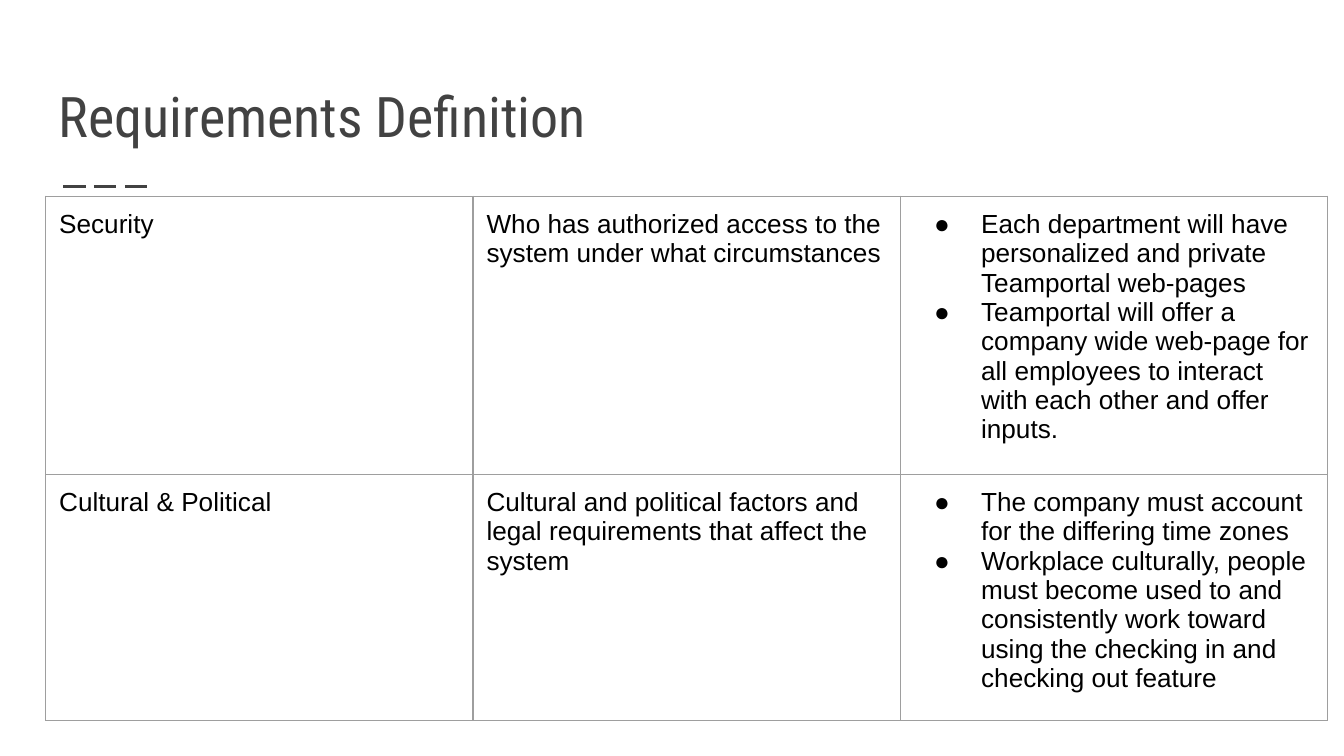
from lxml.etree import SubElement
from pptx import Presentation
from pptx.dml.color import RGBColor
from pptx.enum.dml import MSO_LINE
from pptx.enum.shapes import MSO_CONNECTOR
from pptx.enum.text import MSO_ANCHOR
from pptx.oxml.ns import qn
from pptx.util import Inches, Pt

COLORS = {"heading": "424242", "text": "000000", "border": "9E9E9E", "background": "FFFFFF"}
WIDTH = 10
HEIGHT = WIDTH * 9 / 16
LEFT = 0.034  # share of the slide width
COLUMN = 0.318  # share of the slide width
ROW = 0.15  # least row height, share of the slide height; rows grow with their text

# Each row: aspect, meaning, requirements
REQUIREMENTS = [
    (
        "Security",
        "Who has authorized access to the system under what circumstances",
        [
            "Each department will have personalized and private Teamportal web-pages",
            "Teamportal will offer a company wide web-page for all employees "
            "to interact with each other and offer inputs.",
        ],
    ),
    (
        "Cultural & Political",
        "Cultural and political factors and legal requirements that affect the system",
        [
            "The company must account for the differing time zones",
            "Workplace culturally, people must become used to and consistently "
            "work toward using the checking in and checking out feature",
        ],
    ),
]


class SlideBuilder:
    """Holds the style and the slide; positions are shares of the slide's size."""

    heading_font, body_font = "Roboto Condensed", "Arial"
    heading_size, body_size = 30, 14
    inset = Inches(0.1)

    def __init__(self, presentation):
        self.slide = presentation.slides.add_slide(presentation.slide_layouts[6])
        fill = self.slide.background.fill
        fill.solid()
        fill.fore_color.rgb = RGBColor.from_string(COLORS["background"])

    def x(self, share):
        return Inches(share * WIDTH)

    def y(self, share):
        return Inches(share * HEIGHT)

    def set_margins(self, holder):
        holder.margin_left = holder.margin_right = self.inset
        holder.margin_top = holder.margin_bottom = self.inset

    def add_run(self, paragraph, text, font, size, color):
        run = paragraph.add_run()
        run.text = text
        run.font.name = font
        run.font.size = Pt(size)
        run.font.color.rgb = RGBColor.from_string(COLORS[color])

    def title(self, text, left, top, width, height):
        shape = self.slide.shapes.add_textbox(
            self.x(left), self.y(top), self.x(width), self.y(height))
        frame = shape.text_frame
        frame.word_wrap = True
        frame.vertical_anchor = MSO_ANCHOR.BOTTOM
        self.set_margins(frame)
        self.add_run(frame.paragraphs[0], text, self.heading_font, self.heading_size, "heading")

    def dashed_line(self, left, right, top):
        line = self.slide.shapes.add_connector(
            MSO_CONNECTOR.STRAIGHT, self.x(left), self.y(top), self.x(right), self.y(top))
        line.line.color.rgb = RGBColor.from_string(COLORS["heading"])
        line.line.width = Pt(1.5)
        line.line.dash_style = MSO_LINE.LONG_DASH
        SubElement(line._element.spPr, qn("a:effectLst"))

    def bullet(self, paragraph):
        properties = paragraph._p.get_or_add_pPr()
        properties.set("marL", str(Inches(0.5)))
        properties.set("indent", str(-Inches(0.35)))
        bullet_color = SubElement(properties, qn("a:buClr"))
        SubElement(bullet_color, qn("a:srgbClr"), val=COLORS["text"])
        SubElement(properties, qn("a:buFont"), typeface=self.body_font)
        SubElement(properties, qn("a:buChar"), char="●")

    def cell_borders(self, cell):
        properties = cell._tc.get_or_add_tcPr()
        for side in ("L", "R", "T", "B"):
            border = SubElement(properties, qn(f"a:ln{side}"), w=str(Pt(0.75)))
            fill = SubElement(border, qn("a:solidFill"))
            SubElement(fill, qn("a:srgbClr"), val=COLORS["border"])

    def fill_cell(self, cell, content):
        self.set_margins(cell)
        self.cell_borders(cell)
        cell.fill.background()
        bulleted = isinstance(content, list)
        frame = cell.text_frame
        for index, text in enumerate(content if bulleted else [content]):
            paragraph = frame.add_paragraph() if index else frame.paragraphs[0]
            if bulleted:
                self.bullet(paragraph)
            self.add_run(paragraph, text, self.body_font, self.body_size, "text")

    def table(self, rows, left, top, column_width, row_height, frame_size):
        shape = self.slide.shapes.add_table(
            len(rows), len(rows[0]), self.x(left), self.y(top),
            self.x(column_width * len(rows[0])), self.y(row_height * len(rows)))
        table = shape.table
        table.first_row = table.horz_banding = False
        for column in table.columns:
            column.width = self.x(column_width)
        for row, contents in zip(table.rows, rows):
            row.height = self.y(row_height)
            for cell, content in zip(row.cells, contents):
                self.fill_cell(cell, content)
        shape.width = shape.height = self.x(frame_size)


def main():
    presentation = Presentation()
    presentation.slide_width = Inches(WIDTH)
    presentation.slide_height = Inches(HEIGHT)
    builder = SlideBuilder(presentation)

    # Heading with its dashed accent
    builder.dashed_line(0.047, 0.114, 1.39 / HEIGHT)
    builder.title("Requirements Definition", LEFT, 0.41 / HEIGHT, 1 - 2 * LEFT, 0.8 / HEIGHT)

    # Requirements table
    builder.table(REQUIREMENTS, LEFT, 1.46 / HEIGHT, COLUMN, ROW, 0.328)

    presentation.save("out.pptx")


if __name__ == "__main__":
    main()
